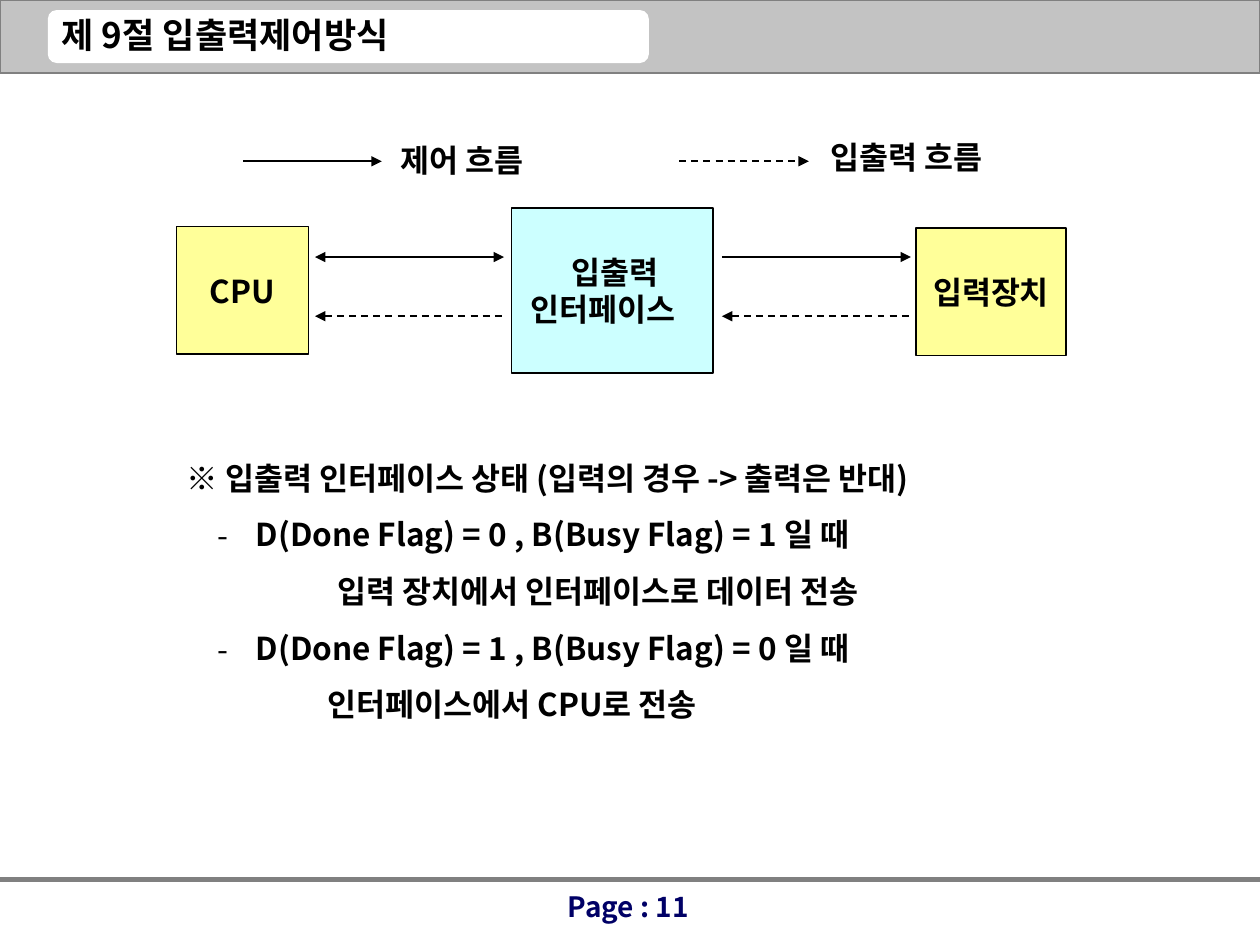
from pptx import Presentation
from pptx.dml.color import RGBColor
from pptx.enum.dml import MSO_LINE
from pptx.enum.shapes import MSO_CONNECTOR, MSO_SHAPE
from pptx.enum.text import MSO_ANCHOR, MSO_AUTO_SIZE, PP_ALIGN
from pptx.oxml.ns import qn
from pptx.util import Inches, Pt
from lxml.etree import SubElement

FONT = "Noto Sans CJK KR"
COLORS = {
    "black": "000000", "white": "FFFFFF", "band": "C3C3C3", "rule": "808080",
    "page": "000066", "device": "FFFF99", "interface": "CCFFFF",
}
# Text, left indent in inches, whether the line has a dash
STATES = [
    ("※ 입출력 인터페이스 상태 (입력의 경우 -> 출력은 반대)", 0, False),
    ("D(Done Flag) = 0 , B(Busy Flag) = 1 일 때", 0.55, True),
    ("입력 장치에서 인터페이스로 데이터 전송", 1.2, False),
    ("D(Done Flag) = 1 , B(Busy Flag) = 0 일 때", 0.55, True),
    ("인터페이스에서 CPU로 전송", 1.12, False),
]
DASH_HANG = 0.3
CONTROL_Y, DATA_Y, LEGEND_Y = 2.04, 2.51, 1.28


def rgb(name):
    return RGBColor.from_string(COLORS[name])


def place(shape, left, top, width, height):
    shape.left, shape.top = Inches(left), Inches(top)
    shape.width, shape.height = Inches(width), Inches(height)


def format_text(frame, size, color="black", align=PP_ALIGN.LEFT):
    for paragraph in frame.paragraphs:
        paragraph.alignment = align
        for run in paragraph.runs:
            run.font.name = FONT
            run.font.size = Pt(size)
            run.font.bold = True
            run.font.color.rgb = rgb(color)
            SubElement(run.font._element, qn("a:ea"), typeface=FONT)


def indent(paragraph, left, hanging=0):
    properties = paragraph._p.get_or_add_pPr()
    properties.set("marL", str(Inches(left)))
    properties.set("indent", str(-Inches(hanging)))
    return properties


def add_block(slide, kind, bounds, fill, line=None):
    block = slide.shapes.add_shape(kind, *map(Inches, bounds))
    block.shadow.inherit = False
    block.fill.solid()
    block.fill.fore_color.rgb = rgb(fill)
    if line:
        block.line.color.rgb = rgb(line)
        block.line.width = Pt(0.75)
    else:
        block.line.fill.background()
    return block


def add_unit(slide, bounds, fill, text):
    """Add a labelled box of the diagram and return its text frame."""
    frame = add_block(slide, MSO_SHAPE.RECTANGLE, bounds, fill, "black").text_frame
    frame.text = text
    frame.word_wrap = False
    frame.vertical_anchor = MSO_ANCHOR.MIDDLE
    format_text(frame, 18, align=PP_ALIGN.CENTER)
    return frame


def add_line(slide, start, end, y, color="black", width=1, dashed=False, arrows=()):
    """Add a horizontal line; arrows lists "headEnd" (start) and "tailEnd" (end)."""
    connector = slide.shapes.add_connector(
        MSO_CONNECTOR.STRAIGHT, Inches(start), Inches(y), Inches(end), Inches(y))
    connector.line.color.rgb = rgb(color)
    connector.line.width = Pt(width)
    if dashed:
        connector.line.dash_style = MSO_LINE.DASH
    for arrow in arrows:
        SubElement(connector.line._get_or_add_ln(), qn(f"a:{arrow}"), type="triangle")
    SubElement(connector._element.spPr, qn("a:effectLst"))


def add_label(slide, bounds, text, size=18, color="black",
              align=PP_ALIGN.LEFT, wrap=False):
    frame = slide.shapes.add_textbox(*map(Inches, bounds)).text_frame
    frame.text = text
    frame.word_wrap = wrap
    format_text(frame, size, color, align)


def add_header(slide):
    add_line(slide, 0, 10, 0.56, width=3)
    add_block(slide, MSO_SHAPE.RECTANGLE, (0, 0, 10, 0.58), "band", "rule")
    add_block(slide, MSO_SHAPE.ROUNDED_RECTANGLE, (0.38, 0.08, 4.77, 0.42), "white")
    title = slide.shapes.title
    place(title, 0.39, 0.06, 2.99, 0.43)
    title.text_frame.text = "제 9절 입출력제어방식"
    title.text_frame.word_wrap = False
    title.text_frame.auto_size = MSO_AUTO_SIZE.NONE
    title.text_frame.vertical_anchor = MSO_ANCHOR.TOP
    format_text(title.text_frame, 20)
    # The title must lie in front of the band
    slide.shapes._spTree.append(title._element)


def add_footer(slide):
    add_line(slide, 0, 10, 6.98, "rule", 3)
    add_label(slide, (3.82, 7.01, 2.33, 0.52), "Page : 11", 16, "page",
              PP_ALIGN.CENTER, wrap=True)


def add_legend(slide):
    add_line(slide, 1.93, 3.03, LEGEND_Y, arrows=["tailEnd"])
    add_label(slide, (3.08, 1.07, 1.26, 0.4), "제어 흐름")
    add_line(slide, 5.39, 6.42, LEGEND_Y, dashed=True, arrows=["tailEnd"])
    add_label(slide, (6.49, 1.05, 1.51, 0.4), "입출력 흐름")


def add_diagram(slide):
    add_unit(slide, (1.4, 1.8, 1.05, 1.01), "device", "CPU")
    interface = add_unit(slide, (4.06, 1.65, 1.6, 1.31), "interface",
                         "입출력\n인터페이스")
    interface.margin_right = Inches(0.24)
    indent(interface.paragraphs[0], 0.18)
    add_unit(slide, (7.27, 1.81, 1.19, 1.01), "device", "입력장치")
    for start, control_arrows in ((2.5, ["headEnd", "tailEnd"]), (5.73, ["tailEnd"])):
        add_line(slide, start, start + 1.5, CONTROL_Y, arrows=control_arrows)
        add_line(slide, start, start + 1.5, DATA_Y, dashed=True, arrows=["headEnd"])


def fill_states(body):
    place(body, 1.38, 3.44, 7.64, 2.36)
    frame = body.text_frame
    frame.text = "\n".join(text for text, _, _ in STATES)
    frame.word_wrap = True
    frame.auto_size = MSO_AUTO_SIZE.NONE
    format_text(frame, 18)
    for paragraph, (_, left, dashed) in zip(frame.paragraphs, STATES):
        paragraph.line_spacing = 1.5
        paragraph.space_before = Pt(0)
        properties = indent(paragraph, left, DASH_HANG if dashed else 0)
        if dashed:
            SubElement(properties, qn("a:buFont"), typeface=FONT)
            SubElement(properties, qn("a:buChar"), char="-")
        else:
            SubElement(properties, qn("a:buNone"))


def main():
    presentation = Presentation()
    presentation.slide_width, presentation.slide_height = Inches(10), Inches(7.5)
    slide = presentation.slides.add_slide(presentation.slide_layouts[1])
    add_header(slide)
    add_footer(slide)
    fill_states(slide.placeholders[1])
    add_diagram(slide)
    add_legend(slide)
    presentation.save("out.pptx")


if __name__ == "__main__":
    main()
